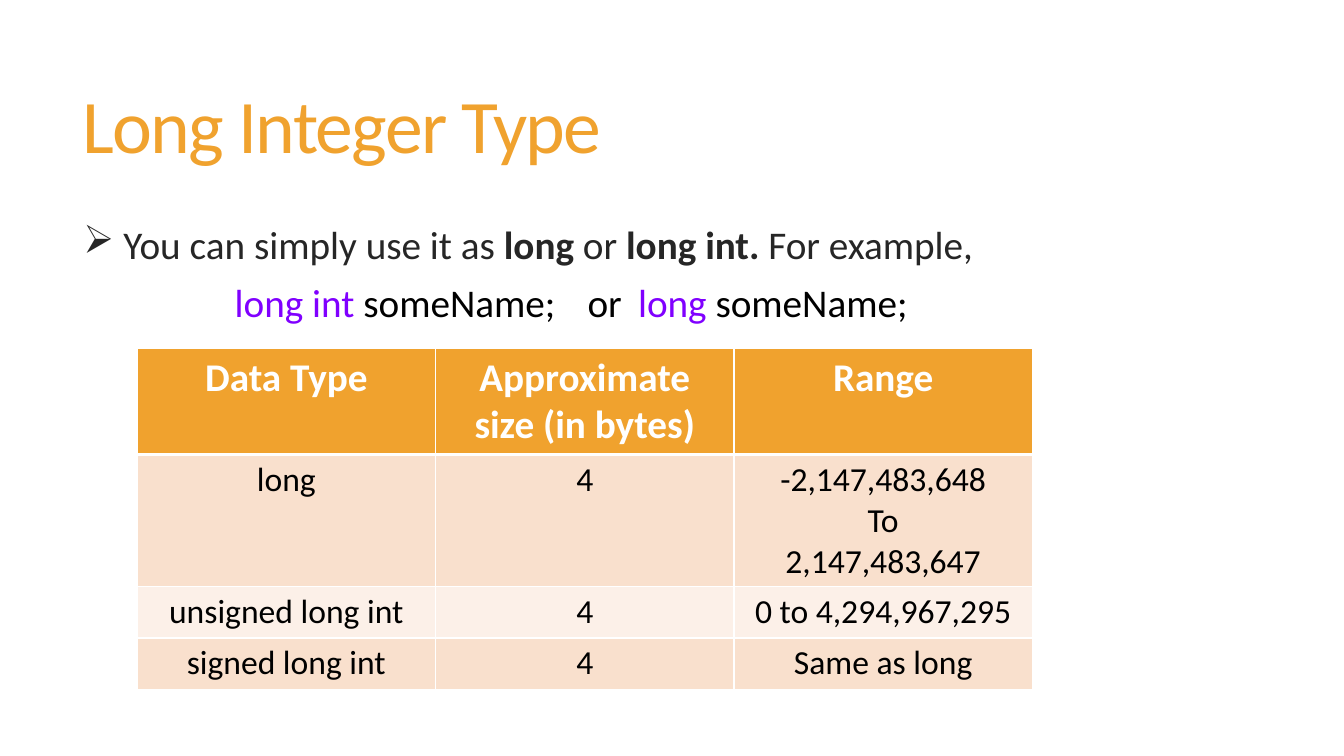
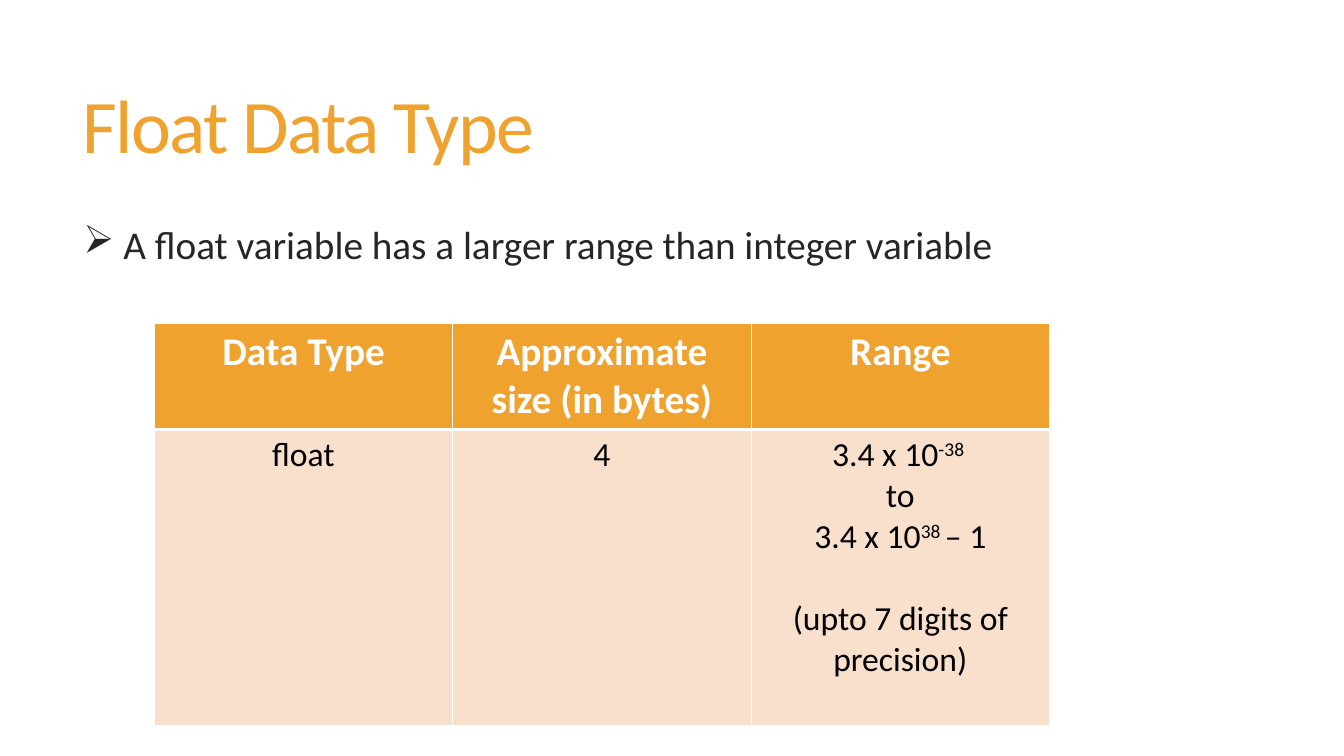
"""Two slides on the long integer and float data types."""
from lxml import etree
from pptx import Presentation
from pptx.dml.color import RGBColor
from pptx.enum import text
from pptx.oxml import ns
from pptx.util import Inches, Pt

COLOURS = {"accent": "F0A22E", "body": "262626", "code": "8000FF", "cell": "000000",
           "white": "FFFFFF", "odd": "F9E0CD", "even": "FCF0E8"}
FONT = "Calibri"
HEADER = ["Data Type", "Approximate size (in bytes)", "Range"]
COLUMN_WIDTH = 2.96
CODE_INDENT = 1.5
CODE_TABS = [5.02, 5.72]
LINE_GAP = 29.3

SLIDES = [
    {"title": "Long Integer Type",
     "point": [("You can simply use it as ", ""), ("long", "bold"), (" or ", ""),
               ("long int. ", "bold"), ("For example,", "")],
     "code": [("long int ", "code"), ("someName;\tor\t", "cell"),
              ("long ", "code"), ("someName;", "cell")],
     "corner": (1.36, 3.46),
     "heights": [1.05, 1.31, 0.51, 0.51],
     "rows": [["long", "4", "-2,147,483,648\nTo\n2,147,483,647"],
              ["unsigned long int", "4", "0 to 4,294,967,295"],
              ["signed long int", "4", "Same as long"]]},
    {"title": "Float Data Type",
     "point": [("A float variable has a larger range than integer variable", "")],
     "code": [],
     "corner": (1.53, 3.21),
     "heights": [1.05, 2.94],
     "rows": [["float", "4", "3.4 x 10^-38 ^\nto\n3.4 x 10^38 ^– 1\n"
                             "(upto 7 digits of precision)"]]},
]


def add_run(paragraph, words, size, colour, bold=False):
    run = paragraph.add_run()
    run.text = words
    run.font.name, run.font.size, run.font.bold = FONT, Pt(size), bold
    run.font.color.rgb = RGBColor.from_string(COLOURS[colour])
    return run


def add_frame(slide, left, top, width, height):
    frame = slide.shapes.add_textbox(*map(Inches, (left, top, width, height))).text_frame
    frame.word_wrap = True
    return frame


def indent(paragraph, margin, first):
    properties = paragraph._p.get_or_add_pPr()
    properties.set("marL", str(Inches(margin)))
    properties.set("indent", str(Inches(first)))
    return properties


def add_title(slide, title):
    frame = add_frame(slide, 0.72, 0.39, 11.78, 1.81)
    frame.vertical_anchor = text.MSO_ANCHOR.MIDDLE
    heading = frame.paragraphs[0]
    heading.line_spacing = 0.85
    run = add_run(heading, title, 54, "accent")
    run._r.get_or_add_rPr().set("spc", "-120")


def add_body(slide, point, code):
    frame = add_frame(slide, 0.73, 2.21, 12.36, 1.49)
    bullet = frame.paragraphs[0]
    lines = [bullet]
    for number, (words, style) in enumerate(point):
        add_run(bullet, words if number else " " + words, 28, "body", style == "bold")
    if code:
        example = frame.add_paragraph()
        lines.append(example)
        for words, colour in code:
            add_run(example, words, 28, colour)
    for line in lines:
        line.line_spacing, line.space_before = 0.85, Pt(13)
    mark = etree.SubElement(indent(bullet, 0.1, -0.1), ns.qn("a:buChar"))
    mark.set("char", "➢")
    if code:
        stops = etree.SubElement(indent(example, 0, CODE_INDENT), ns.qn("a:tabLst"))
        for place in CODE_TABS:
            etree.SubElement(stops, ns.qn("a:tab"), pos=str(Inches(place)), algn="l")


def set_borders(cell, top, bottom):
    properties = cell._tc.get_or_add_tcPr()
    for side, points in zip("LRTB", (1, 1, top, bottom)):
        line = etree.SubElement(properties, ns.qn("a:ln" + side), w=str(Pt(points)))
        fill = etree.SubElement(line, ns.qn("a:solidFill"))
        etree.SubElement(fill, ns.qn("a:srgbClr"), val=COLOURS["white"])


def fill_cell(cell, content, row):
    set_borders(cell, 3 if row == 1 else 1, 1 if row else 3)
    cell.fill.solid()
    shade = ("even" if row % 2 == 0 else "odd") if row else "accent"
    cell.fill.fore_color.rgb = RGBColor.from_string(COLOURS[shade])
    size, colour = (24, "cell") if row else (28, "white")
    frame = cell.text_frame
    for number, line in enumerate(content.split("\n")):
        paragraph = frame.add_paragraph() if number else frame.paragraphs[0]
        paragraph.alignment = text.PP_ALIGN.CENTER
        if line.startswith("("):
            paragraph.space_before = Pt(LINE_GAP)
        for part, words in enumerate(line.split("^")):
            if words:
                run = add_run(paragraph, words, size, colour, row == 0)
                if part % 2:
                    run._r.get_or_add_rPr().set("baseline", "30000")


def add_type_table(slide, corner, heights, rows):
    size = (COLUMN_WIDTH * len(HEADER), sum(heights))
    table = slide.shapes.add_table(len(heights), len(HEADER),
                                   *map(Inches, corner + size)).table
    for column in table.columns:
        column.width = Inches(COLUMN_WIDTH)
    for row, (height, contents) in enumerate(zip(heights, [HEADER] + rows)):
        table.rows[row].height = Inches(height)
        for column, content in enumerate(contents):
            fill_cell(table.cell(row, column), content, row)


deck = Presentation()
deck.slide_width, deck.slide_height = Inches(13.33), Inches(7.5)
for lesson in SLIDES:
    page = deck.slides.add_slide(deck.slide_layouts[6])
    add_title(page, lesson["title"])
    add_body(page, lesson["point"], lesson["code"])
    add_type_table(page, lesson["corner"], lesson["heights"], lesson["rows"])
deck.save("out.pptx")
